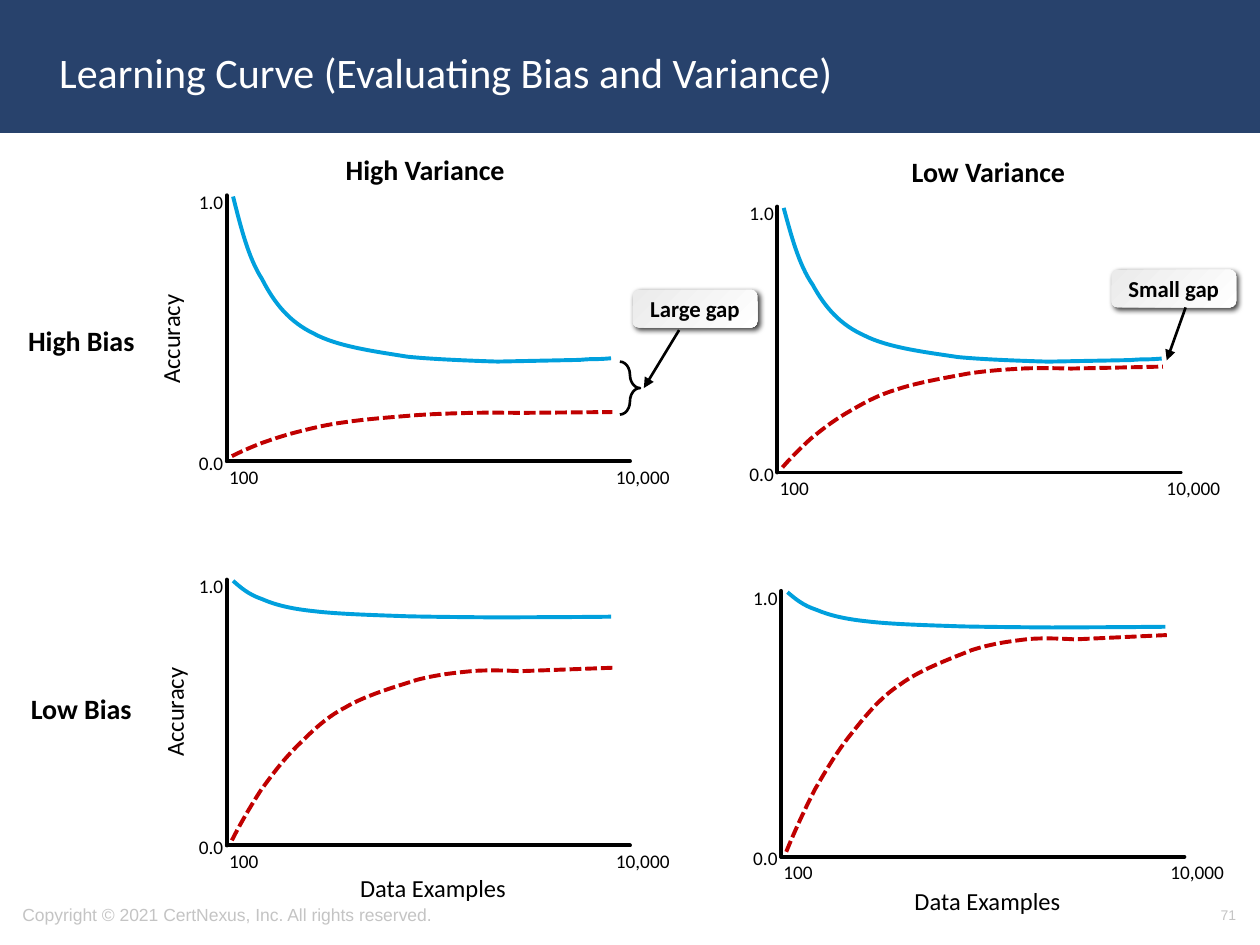
"""Build a slide of four learning curves that contrast bias and variance."""
from dataclasses import dataclass

from lxml import etree
from pptx import Presentation
from pptx import util as u
from pptx.dml.color import RGBColor
from pptx.enum import dml, shapes, text
from pptx.oxml.ns import qn


@dataclass(frozen=True)
class Theme:
    """Colours, fonts and type sizes of the slide."""
    band: str = "28426C"
    white: str = "FFFFFF"
    ink: str = "000000"
    footer: str = "C4C4C4"
    training: str = "00A0DD"
    validation: str = "C00000"
    callout: str = "EBEBEB"
    body: str = "Calibri"
    small: str = "Arial"
    title_size: int = 24
    heading_size: int = 16
    axis_size: int = 14
    callout_size: int = 13
    tick_size: int = 11
    footer_size: int = 10
    page_size: int = 8


T = Theme()
ALIGN = text.PP_ALIGN
MIDDLE = text.MSO_ANCHOR.MIDDLE

TRAINING = [(0, 0), (.06, .18), (.12, .37), (.23, .5), (.33, .65), (.45, .76), (.64, .83),
            (.83, .91), (1.14, .94), (1.38, .97), (1.62, .99), (2.1, 1), (2.1, 1),
            (2.1, 1), (2.75, .99), (2.75, .99), (2.9, .98), (2.85, .99), (3, .98)]
VALIDATION = [(0, 0), (.07, .1), (.15, .2), (.23, .29), (.32, .38), (.4, .46), (.51, .54),
              (.62, .62), (.74, .71), (.9, .77), (1.06, .84), (1.3, .89), (1.47, .93),
              (1.63, .96), (1.76, .97), (1.9, .98), (2.04, .99), (2.29, .98), (2.29, .98),
              (2.29, .98), (3.02, 1), (3.02, 1)]

PANELS = [(1.8, 1.55, 1.31, .35), (1.8, 4.6, .29, 1.37),
          (6.17, 1.64, 1.22, .8), (6.2, 4.69, .28, 1.72)]
HEADINGS = [("High Variance", 2.56, 1.16, 1.63), ("Low Variance", 7.03, 1.18, 1.63),
            ("High Bias", .09, 2.52, 1.11), ("Low Bias", .06, 5.44, 1.17)]
CALLOUTS = [("Large gap", 5.02, 2.3, (5.39, 2.62), (5.11, 3.08)),
            ("Small gap", 8.82, 2.14, (9.41, 2.44), (9.26, 2.86))]


def box(*lengths):
    """Turn numbers into inch lengths."""
    return [u.Inches(n) for n in lengths]


def write(tf, words, size, color=T.ink, font=T.body, bold=False, align=ALIGN.LEFT):
    """Write one styled run into a text frame."""
    p = tf.paragraphs[0]
    p.alignment = align
    r = p.add_run()
    r.text = words
    r.font.size, r.font.name, r.font.bold = u.Pt(size), font, bold
    r.font.color.rgb = RGBColor.from_string(color)


def add_label(s, words, at, size, wrap=False, anchor=text.MSO_ANCHOR.TOP, **style):
    """Add a text box."""
    sp = s.shapes.add_textbox(*box(*at))
    sp.text_frame.word_wrap = wrap
    sp.text_frame.vertical_anchor = anchor
    write(sp.text_frame, words, size, **style)
    return sp


def style_line(sp, color, width):
    """Give a shape or connector a solid line."""
    sp.line.color.rgb = RGBColor.from_string(color)
    sp.line.width = u.Pt(width)


def add_line(s, start, end, width, arrow=False):
    """Add a straight connector, with an arrowhead if asked."""
    cx = s.shapes.add_connector(shapes.MSO_CONNECTOR.STRAIGHT, *box(*start, *end))
    style_line(cx, T.ink, width)
    ln = cx.line._get_or_add_ln()
    if arrow:
        etree.SubElement(ln, qn("a:tailEnd"), type="triangle")
    else:
        ln.set("cap", "rnd")
    etree.SubElement(cx._element.spPr, qn("a:effectLst"))


def add_curve(s, profile, x, y, height, color, dash=None):
    """Draw a profile as cubic curves, three points to each."""
    points = [box(x + dx, y + height * part) for dx, part in profile]
    builder = s.shapes.build_freeform(*points[0])
    builder.add_line_segments(points[1:], close=False)
    sp = builder.convert_to_shape()
    sp.shadow.inherit = False
    sp.fill.background()
    style_line(sp, color, 2.25)
    if dash:
        sp.line.dash_style = dash
    segments = list(sp._element.iter(qn("a:lnTo")))
    for i in range(0, len(segments), 3):
        cubic = etree.Element(qn("a:cubicBezTo"))
        segments[i].addprevious(cubic)
        for segment in segments[i:i + 3]:
            cubic.append(segment[0])
            segment.getparent().remove(segment)


def add_panel(s, x, top, drop, rise):
    """Draw one plot with its axes, tick labels and two curves."""
    add_line(s, (x, top), (x, top + 2.11), 2.25)
    add_line(s, (x + 3.2, top + 2.11), (x, top + 2.11), 2.25)
    for words, dx, dy, width in [("1.0", -.32, -.09, .4), ("0.0", -.32, 1.98, .4),
                                 ("100", -.08, 2.09, .44), ("10,000", 2.99, 2.09, .63)]:
        add_label(s, words, (x + dx, top + dy, width, .29), T.tick_size)
    add_curve(s, TRAINING, x + .05, top + .01, drop, T.training)
    add_curve(s, VALIDATION, x + .04, top + 2.07, -rise, T.validation,
              dml.MSO_LINE.SQUARE_DOT)


def add_callout(s, words, x, y, start, end):
    """Add a shaded callout and its arrow."""
    sp = s.shapes.add_shape(shapes.MSO_SHAPE.ROUNDED_RECTANGLE, *box(x, y, .99, .3))
    sp.shadow.inherit = False
    sp.line.fill.background()
    sp.fill.gradient()
    sp.fill.gradient_angle = 315
    for stop, color in zip(sp.fill.gradient_stops, (T.callout, T.white)):
        stop.color.rgb = RGBColor.from_string(color)
    effects = sp._element.spPr.find(qn("a:effectLst"))
    shadow = etree.SubElement(effects, qn("a:outerShdw"), blurRad=str(u.Pt(3)),
                              dist=str(u.Pt(2)), dir="2700000", algn="tl", rotWithShape="0")
    tint = etree.SubElement(shadow, qn("a:srgbClr"), val=T.ink)
    etree.SubElement(tint, qn("a:alpha"), val="75000")
    tf = sp.text_frame
    tf.word_wrap, tf.vertical_anchor = False, MIDDLE
    write(tf, words, T.callout_size, bold=True, align=ALIGN.CENTER)
    add_line(s, start, end, 1.5, arrow=True)


def add_brace(s):
    """Add the brace that spans the large gap."""
    sp = s.shapes.add_shape(shapes.MSO_SHAPE.RIGHT_BRACE, *box(4.92, 2.87, .16, .42))
    sp.adjustments[0] = .66
    sp.shadow.inherit = False
    sp.fill.background()
    style_line(sp, T.ink, 1.5)


def add_frame(s):
    """Add the title on its band and the footer."""
    band = s.shapes.add_shape(shapes.MSO_SHAPE.RECTANGLE, *box(0, 0, 10, 1.04))
    band.shadow.inherit = False
    band.fill.solid()
    band.fill.fore_color.rgb = RGBColor.from_string(T.band)
    style_line(band, T.band, 2)
    title = s.shapes.title
    title._element.addprevious(band._element)
    title.left, title.top, title.width, title.height = box(.37, .11, 8.62, .92)
    title.text_frame.vertical_anchor = MIDDLE
    write(title.text_frame, "Learning Curve (Evaluating Bias and Variance)",
          T.title_size, T.white)
    footer = dict(wrap=True, anchor=MIDDLE, color=T.footer, font=T.small)
    add_label(s, "Copyright © 2021 CertNexus, Inc. All rights reserved.",
              (.08, 7.06, 5.27, .4), T.footer_size, **footer)
    add_label(s, "71", (7.58, 7.06, 2.33, .4), T.page_size, align=ALIGN.RIGHT, **footer)


def main():
    """Build and save the slide."""
    prs = Presentation()
    prs.slide_width, prs.slide_height = box(10, 7.5)
    s = prs.slides.add_slide(prs.slide_layouts[5])
    add_frame(s)
    for panel in PANELS:
        add_panel(s, *panel)
    for x, y in [(.9, 2.52), (.93, 5.48)]:
        add_label(s, "Accuracy", (x, y, .91, .34), T.axis_size).rotation = 270
    for x, y in [(2.76, 6.88), (7.16, 6.98)]:
        add_label(s, "Data Examples", (x, y, 1.37, .34), T.axis_size)
    for words, x, y, width in HEADINGS:
        add_label(s, words, (x, y, width, .37), T.heading_size, wrap=True, bold=True,
                  align=ALIGN.CENTER)
    add_brace(s)
    for callout in CALLOUTS:
        add_callout(s, *callout)
    prs.save("out.pptx")


if __name__ == "__main__":
    main()
